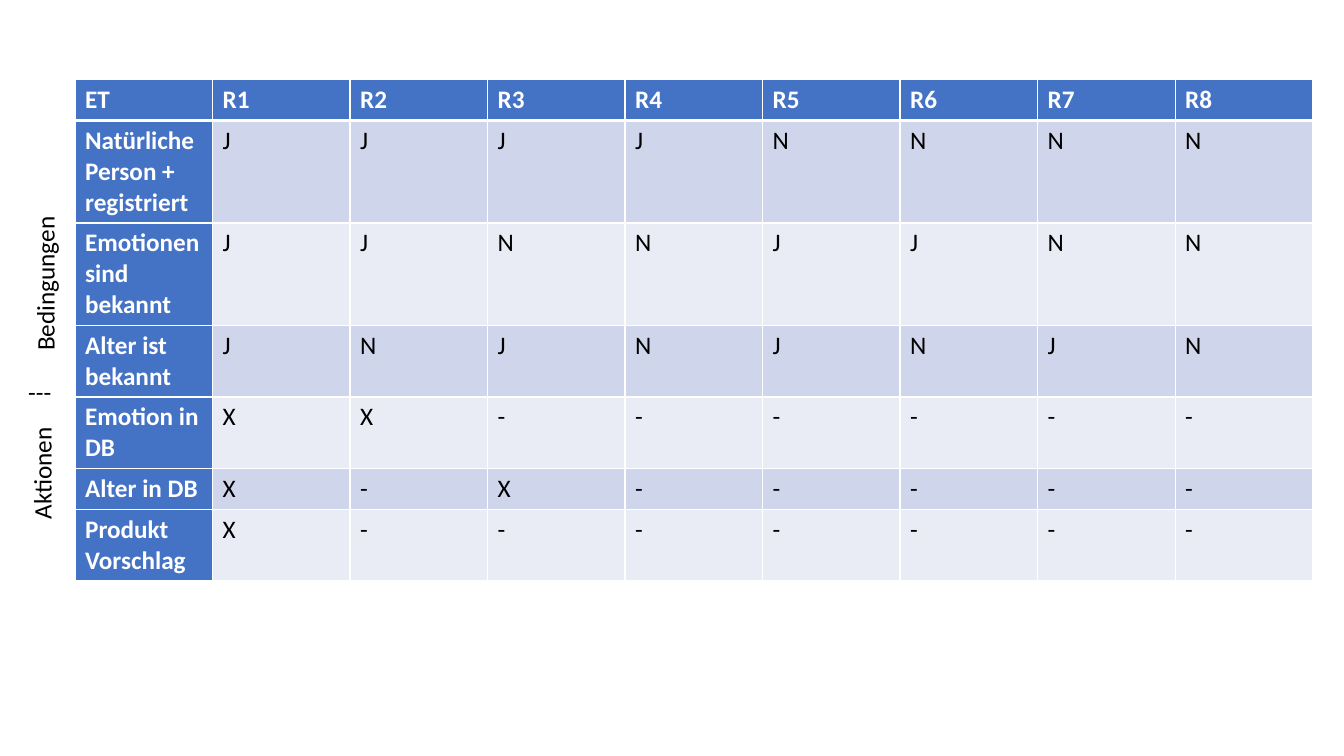
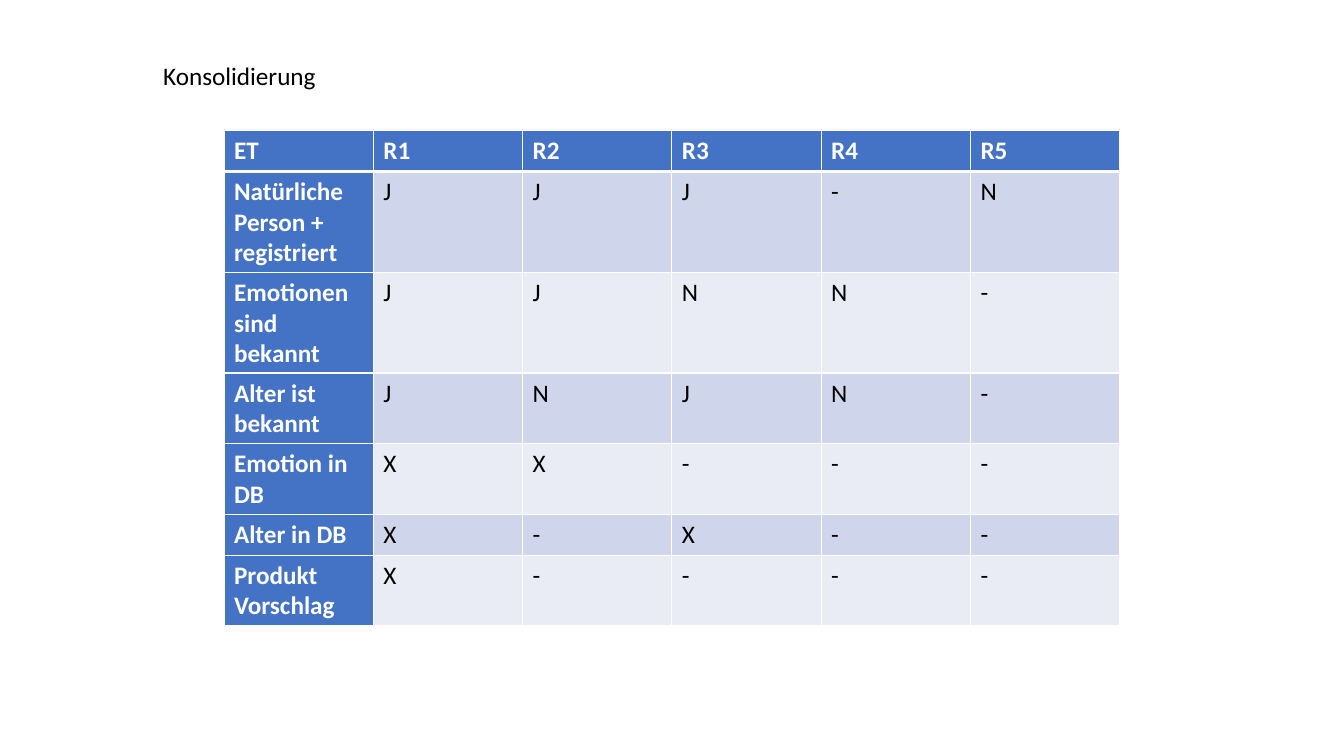
from lxml import etree
from pptx import Presentation
from pptx.dml.color import RGBColor
from pptx.enum.text import MSO_ANCHOR, MSO_AUTO_SIZE, PP_ALIGN
from pptx.oxml.ns import qn
from pptx.util import Pt

LEFT = PP_ALIGN.LEFT
TOP = MSO_ANCHOR.TOP
FIT_SHAPE = MSO_AUTO_SIZE.SHAPE_TO_FIT_TEXT
TITLE_ONLY, BLANK = 5, 6
FONT, TEXT_SIZE = "Calibri", 18
LINE_HEIGHT = 29.08
ROW_HEIGHT = 29.2
RULE, HEADER_RULE = 1, 3
COLORS = {
    "header": "4472C4",
    "odd_row": "CFD5EA",
    "even_row": "E9EBF5",
    "light": "FFFFFF",
    "dark": "000000",
}
CONDITIONS_AND_ACTIONS = [
    "Natürliche Person + registriert",
    "Emotionen sind bekannt",
    "Alter ist bekannt",
    "Emotion in DB",
    "Alter in DB",
    "Produkt Vorschlag",
]
ALL_RULES = ["JJJJNNNN", "JJNNJJNN", "JNJNJNJN", "XX------", "X-X-----", "X-------"]
MERGED_RULES = ["JJJ-N", "JJNN-", "JNJN-", "XX---", "X-X--", "X----"]


def color(name):
    return RGBColor.from_string(COLORS[name])


def write(text_frame, text, ink="dark", bold=False):
    paragraph = text_frame.paragraphs[0]
    paragraph.alignment = LEFT
    run = paragraph.add_run()
    run.text = text
    run.font.name = FONT
    run.font.size = Pt(TEXT_SIZE)
    run.font.bold = bold
    run.font.color.rgb = color(ink)


def place(shape, left, top, width, height):
    shape.left, shape.top = Pt(left), Pt(top)
    shape.width, shape.height = Pt(width), Pt(height)


def set_borders(cell, top, bottom):
    properties = cell._tc.get_or_add_tcPr()
    widths = {"a:lnL": RULE, "a:lnR": RULE, "a:lnT": top, "a:lnB": bottom}
    for index, (side, width) in enumerate(widths.items()):
        line = etree.Element(qn(side), w=str(int(Pt(width))))
        fill = etree.SubElement(line, qn("a:solidFill"))
        etree.SubElement(fill, qn("a:srgbClr"), val=COLORS["light"])
        properties.insert(index, line)


def decision_table(slide, decisions, left, top, width, height):
    rule_names = [f"R{number}" for number in range(1, len(decisions[0]) + 1)]
    rows = [["ET", *rule_names]]
    rows += [[name, *marks] for name, marks in zip(CONDITIONS_AND_ACTIONS, decisions)]
    frame = slide.shapes.add_table(
        len(rows), len(rows[0]), Pt(left), Pt(top), Pt(width), Pt(height)
    )
    table = frame.table
    for column in table.columns:
        column.width = Pt(width / len(rows[0]))
    for row_index, row in enumerate(rows):
        table.rows[row_index].height = Pt(ROW_HEIGHT)
        band = "odd_row" if row_index % 2 else "even_row"
        for column_index, text in enumerate(row):
            cell = table.cell(row_index, column_index)
            heading = row_index == 0 or column_index == 0
            cell.fill.solid()
            cell.fill.fore_color.rgb = color("header" if heading else band)
            set_borders(
                cell,
                HEADER_RULE if row_index == 1 else RULE,
                HEADER_RULE if row_index == 0 else RULE,
            )
            write(cell.text_frame, text, "light" if heading else "dark", heading)
    frame.height = Pt(height)


def side_label(slide, text, center_x, center_y, width, rotation=0):
    label = slide.shapes.add_textbox(
        Pt(center_x - width / 2), Pt(center_y - LINE_HEIGHT / 2),
        Pt(width), Pt(LINE_HEIGHT),
    )
    label.rotation = rotation
    label.text_frame.word_wrap = False
    label.text_frame.auto_size = FIT_SHAPE
    write(label.text_frame, text)


def section_labels(slide, left, top):
    side_label(slide, "Bedingungen", left + 19, top + 145, 111.6, 270)
    side_label(slide, "---", left + 15.5, top + 223, 31)
    side_label(slide, "Aktionen", left + 17, top + 280.5, 81.4, 270)


def title(slide, text, left, top, width):
    heading = slide.shapes.title
    place(heading, left, top, width, LINE_HEIGHT)
    text_frame = heading.text_frame
    text_frame.vertical_anchor = TOP
    text_frame.word_wrap = False
    text_frame.auto_size = FIT_SHAPE
    write(text_frame, text)


def full_slide(deck):
    slide = deck.slides.add_slide(deck.slide_layouts[BLANK])
    decision_table(slide, ALL_RULES, 53.6, 56.9, 884, 353.5)
    section_labels(slide, 13, 56.9)


def consolidated_slide(deck):
    slide = deck.slides.add_slide(deck.slide_layouts[TITLE_ONLY])
    title(slide, "Konsolidierung", 109.4, 39.2, 124.6)
    decision_table(slide, MERGED_RULES, 160, 93.2, 640, 353.5)


deck = Presentation()
deck.slide_width, deck.slide_height = Pt(960), Pt(540)
full_slide(deck)
consolidated_slide(deck)
deck.save("out.pptx")
